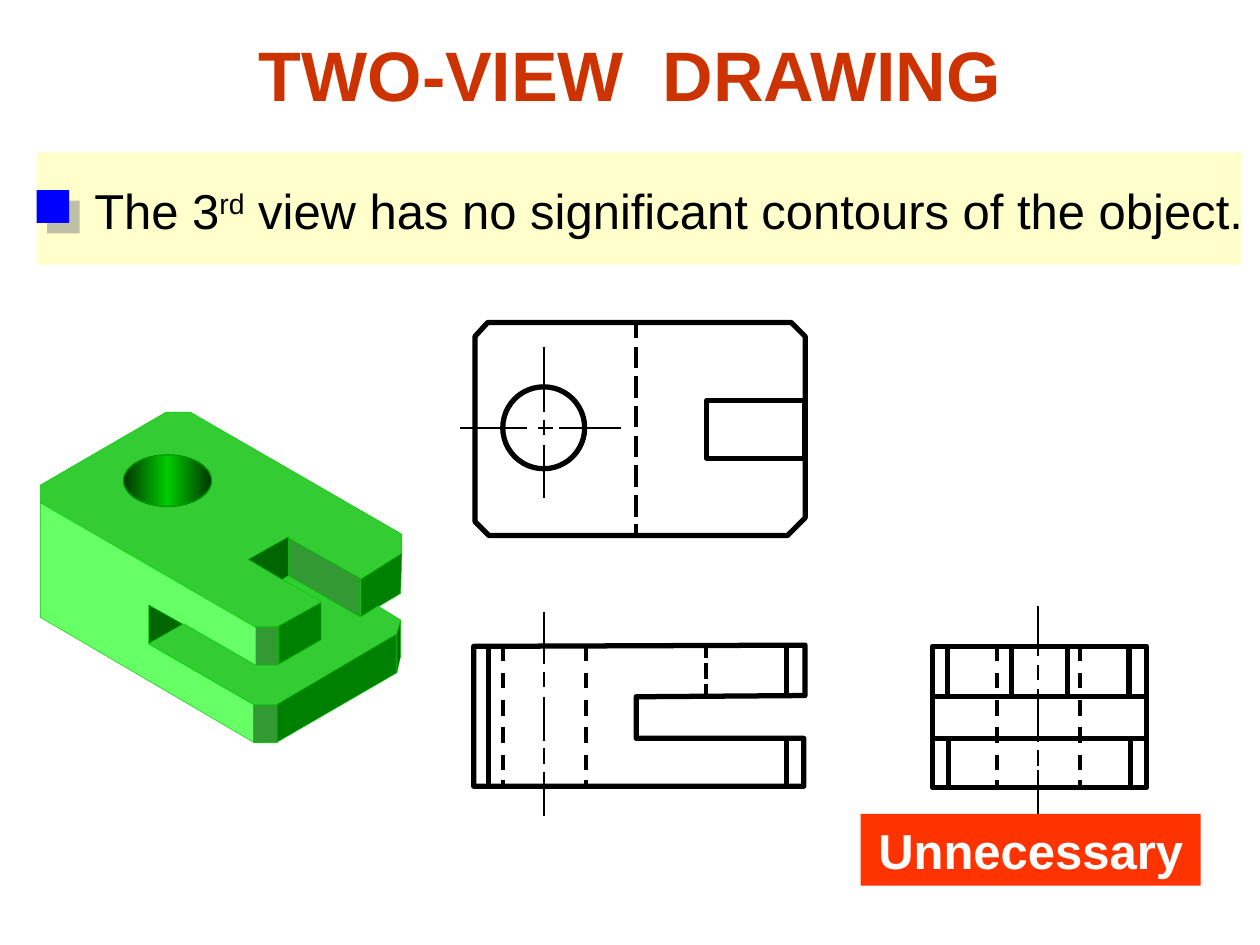
from copy import deepcopy
from dataclasses import dataclass

from lxml.etree import SubElement
from pptx import Presentation
from pptx.dml.color import RGBColor
from pptx.enum.dml import MSO_LINE
from pptx.enum.shapes import MSO_CONNECTOR, MSO_SHAPE
from pptx.enum.text import MSO_ANCHOR, MSO_AUTO_SIZE, PP_ALIGN
from pptx.oxml.ns import qn
from pptx.util import Cm, Pt


@dataclass(frozen=True)
class Theme:
    font: str = "Arial"
    title_size: int = 40
    body_size: int = 28
    title: str = "CC3300"
    ink: str = "000000"
    white: str = "FFFFFF"
    label: str = "FF3300"
    band: str = "FFFFCC"
    bullet: str = "0000FF"
    shadow: str = "808080"
    top: str = "33CC33"
    front: str = "66FF66"
    chamfer: str = "339933"
    side: str = "008000"
    deep: str = "006600"
    solid_edge: str = "00CC00"
    hole_edge: str = "009900"
    hole: tuple = ("003500", "00CC00", "003500")
    outline: float = 3
    hidden: float = 2.25
    centre: float = 1


THEME = Theme()


def grid(value):
    """Length on the slide's grid, whose unit is 2.54 cm."""
    return Cm(value * 2.54)


def rgb(code):
    return RGBColor.from_string(code)


def apply(target, formats):
    for name, value in formats.items():
        setattr(target, name, value)


def paint(shape, fill=None, edge=None, width=THEME.outline):
    shape.shadow.inherit = False
    if fill:
        shape.fill.solid()
        shape.fill.fore_color.rgb = rgb(fill)
    else:
        shape.fill.background()
    if edge:
        shape.line.color.rgb = rgb(edge)
        shape.line.width = Pt(width)
    else:
        shape.line.fill.background()
    return shape


def preset(shapes, kind, box, **look):
    return paint(shapes.add_shape(kind, *map(grid, box)), **look)


def outline(shapes, points, close=True, **look):
    start, *rest = [(grid(x), grid(y)) for x, y in points]
    builder = shapes.build_freeform(*start, scale=1.0)
    builder.add_line_segments(rest, close=close)
    return paint(builder.convert_to_shape(), **look)


def stroke(shapes, start, end, width=THEME.outline, dash=None):
    line = shapes.add_connector(MSO_CONNECTOR.STRAIGHT, *map(grid, (*start, *end)))
    line.line.color.rgb = rgb(THEME.ink)
    apply(line.line, {"width": Pt(width), "dash_style": dash})
    SubElement(line._element.spPr, qn("a:effectLst"))


def vertical(shapes, x, spans, width=THEME.outline):
    for top, bottom in spans:
        stroke(shapes, (x, top), (x, bottom), width)


def hidden_edge(shapes, x):
    """Full-height dashed edge that ends on a solid dash."""
    stroke(shapes, (x, 5.12), (x, 6.25), THEME.hidden, MSO_LINE.DASH)
    vertical(shapes, x, [(6.19, 6.25)], THEME.hidden)


def write(shape, pieces, size, colour, bold=False, align=PP_ALIGN.LEFT,
          margins=(0.1, 0.1), wrap=True, spacing=None):
    """Fill a shape with one paragraph of (text, is_superscript) pieces."""
    left, right = map(grid, margins)
    frame = shape.text_frame
    apply(frame, {"margin_left": left, "margin_right": right,
                  "margin_top": grid(0.05), "margin_bottom": grid(0.05),
                  "word_wrap": wrap, "vertical_anchor": MSO_ANCHOR.TOP,
                  "auto_size": MSO_AUTO_SIZE.SHAPE_TO_FIT_TEXT})
    paragraph = frame.paragraphs[0]
    apply(paragraph, {"alignment": align, "line_spacing": spacing})
    for text, raised in pieces:
        run = paragraph.add_run()
        run.text = text
        apply(run.font, {"name": THEME.font, "size": Pt(size), "bold": bold})
        run.font.color.rgb = rgb(colour)
        if raised:
            run._r.get_or_add_rPr().set("baseline", "30000")


def shade_hole(hole):
    hole.fill.gradient()
    hole.fill.gradient_angle = 0
    stop_list = hole._element.spPr.find(".//" + qn("a:gsLst"))
    stop_list.insert(1, deepcopy(stop_list[0]))
    for stop, position, code in zip(hole.fill.gradient_stops, (0, 0.5, 1), THEME.hole):
        stop.position = position
        stop.color.rgb = rgb(code)


def cast_shadow(shape):
    effects = shape._element.spPr.find(qn("a:effectLst"))
    shadow = SubElement(effects, qn("a:outerShdw"), blurRad="0", dist=str(Pt(8.5)),
                        dir="2700000", algn="ctr", rotWithShape="0")
    colour = SubElement(shadow, qn("a:srgbClr"), val=THEME.shadow)
    SubElement(colour, qn("a:alpha"), val="50000")


def draw_solid(shapes):
    faces = [
        (THEME.top, [(2.03, 4.98), (0.32, 4), (0.32, 3.85), (1.32, 3.27), (1.51, 3.27),
                     (3.19, 4.24), (3.19, 4.39), (2.86, 4.6), (2.29, 4.27),
                     (1.98, 4.45), (2.56, 4.78), (2.2, 4.98)]),
        (THEME.chamfer, [(2.02, 4.97), (2.21, 4.97), (2.21, 5.28), (2.02, 5.28)]),
        (THEME.chamfer, [(2.01, 5.59), (2.2, 5.59), (2.2, 5.89), (2.01, 5.89)]),
        (THEME.side, [(2.21, 4.97), (2.55, 4.78), (2.55, 5.08), (2.21, 5.28)]),
        (THEME.side, [(2.86, 4.6), (3.19, 4.39), (3.18, 4.71), (2.86, 4.9)]),
        (THEME.chamfer, [(2.86, 4.9), (2.29, 4.57), (2.29, 4.27), (2.86, 4.59)]),
        (THEME.deep, [(2.29, 4.57), (2.24, 4.6), (1.97, 4.44), (2.29, 4.26)]),
        (THEME.deep, [(1.18, 4.8), (1.18, 5.11), (1.46, 4.95)]),
        (THEME.front, [(0.32, 3.99), (0.32, 4.9), (2.01, 5.89), (2.01, 5.59),
                       (1.18, 5.11), (1.18, 4.8), (2.03, 5.28), (2.03, 4.98)]),
        (THEME.top, [(1.46, 4.95), (1.18, 5.11), (2.01, 5.59), (2.2, 5.59), (3.17, 5.03),
                     (3.18, 4.92), (3, 4.81), (2.86, 4.9), (2.29, 4.57), (2.24, 4.6),
                     (2.55, 4.77), (2.55, 5.08), (2.2, 5.28), (2.03, 5.28)]),
        (THEME.side, [(2.2, 5.59), (2.2, 5.89), (3.15, 5.34), (3.15, 5.03)]),
        (THEME.deep, [(3.18, 4.92), (3.15, 5.03), (3.15, 5.34), (3.18, 5.21)]),
    ]
    for colour, corners in faces:
        outline(shapes, corners, fill=colour, edge=THEME.solid_edge, width=0.25)
    shade_hole(preset(shapes, MSO_SHAPE.OVAL, (0.98, 3.61, 0.7, 0.41),
                      edge=THEME.hole_edge, width=0.75))


def draw_front_view(shapes):
    outline(shapes, [(6.39, 5.52), (6.39, 5.12), (3.76, 5.13), (3.76, 6.24), (6.38, 6.24),
                     (6.38, 5.86), (5.05, 5.86), (5.05, 5.53)], edge=THEME.ink)
    vertical(shapes, 5.6, [(5.12, 5.22), (5.26, 5.39), (5.43, 5.53)], THEME.hidden)
    vertical(shapes, 3.88, [(5.13, 6.24)])
    for x in (3.99, 4.65):
        hidden_edge(shapes, x)
    vertical(shapes, 6.24, [(5.12, 5.52), (5.85, 6.26)])
    vertical(shapes, 4.32, [(4.86, 5.27), (5.33, 5.45), (5.53, 5.88), (5.94, 6.06),
                            (6.13, 6.48)], THEME.centre)


def draw_top_view(shapes):
    outline(shapes, [(3.87, 2.56), (6.28, 2.56), (6.39, 2.67), (6.39, 4.11), (6.25, 4.25),
                     (3.88, 4.25), (3.77, 4.14), (3.77, 2.67)], edge=THEME.ink)
    preset(shapes, MSO_SHAPE.OVAL, (3.99, 3.07, 0.65, 0.65), edge=THEME.ink)
    preset(shapes, MSO_SHAPE.RECTANGLE, (5.61, 3.18, 0.78, 0.46), edge=THEME.ink)
    for left, right in [(3.65, 4.18), (4.27, 4.39), (4.44, 4.93)]:
        stroke(shapes, (left, 3.4), (right, 3.4), THEME.centre)
    vertical(shapes, 4.32, [(2.75, 3.27), (3.33, 3.45), (3.53, 3.95)], THEME.centre)
    starts = [2.75 + 0.236 * step for step in range(6)]
    dashes = [(start, start + 0.17) for start in starts]
    vertical(shapes, 5.05, [(2.56, 2.68), *dashes, (4.16, 4.26)], THEME.hidden)


def draw_side_view(shapes):
    preset(shapes, MSO_SHAPE.RECTANGLE, (7.4, 5.13, 1.7, 1.12), edge=THEME.ink)
    for outer, level, ledge in [(5.12, 5.53, 0), (6.25, 5.86, 0.01)]:
        for inner, edge in [(7.52, 7.39), (8.96, 9.1)]:
            x = inner + ledge
            outline(shapes, [(x, outer), (x, level), (edge, level)], close=False,
                    edge=THEME.ink)
        stroke(shapes, (7.39, level), (9.1, level))
    for x in (8.03, 8.47):
        vertical(shapes, x, [(5.12, 5.53)])
    for x in (7.91, 8.57):
        hidden_edge(shapes, x)
    vertical(shapes, 8.24, [(4.81, 5.21), (5.28, 5.4), (5.47, 5.89), (5.95, 6.08),
                            (6.11, 6.47)], THEME.centre)


def main():
    deck = Presentation()
    apply(deck, {"slide_width": grid(10), "slide_height": grid(7.5)})
    shapes = deck.slides.add_slide(deck.slide_layouts[6]).shapes

    draw_solid(shapes.add_group_shape().shapes)
    title = shapes.add_textbox(*map(grid, (0, 0.2, 10, 0.77)))
    write(title, [("TWO-VIEW  DRAWING", False)], THEME.title_size, THEME.title,
          bold=True, align=PP_ALIGN.CENTER)
    for draw_view in (draw_front_view, draw_top_view, draw_side_view):
        draw_view(shapes.add_group_shape().shapes)

    verdict = preset(shapes, MSO_SHAPE.RECTANGLE, (6.83, 6.46, 2.7, 0.57), fill=THEME.label)
    write(verdict, [("Unnecessary", False)], THEME.body_size, THEME.white,
          bold=True, align=PP_ALIGN.CENTER, margins=(0, 0))

    preset(shapes, MSO_SHAPE.RECTANGLE, (0.29, 1.21, 9.56, 0.89), fill=THEME.band)
    statement = shapes.add_group_shape().shapes
    rule = statement.add_textbox(*map(grid, (0.65, 1.24, 9.31, 0.71)))
    write(rule, [("The 3", False), ("rd", True),
                 (" view has no significant contours of the object.", False)],
          THEME.body_size, THEME.ink, margins=(0.1, 0), wrap=False, spacing=1.3)
    cast_shadow(preset(statement, MSO_SHAPE.RECTANGLE, (0.29, 1.51, 0.26, 0.26),
                       fill=THEME.bullet))
    deck.save("out.pptx")


if __name__ == "__main__":
    main()
